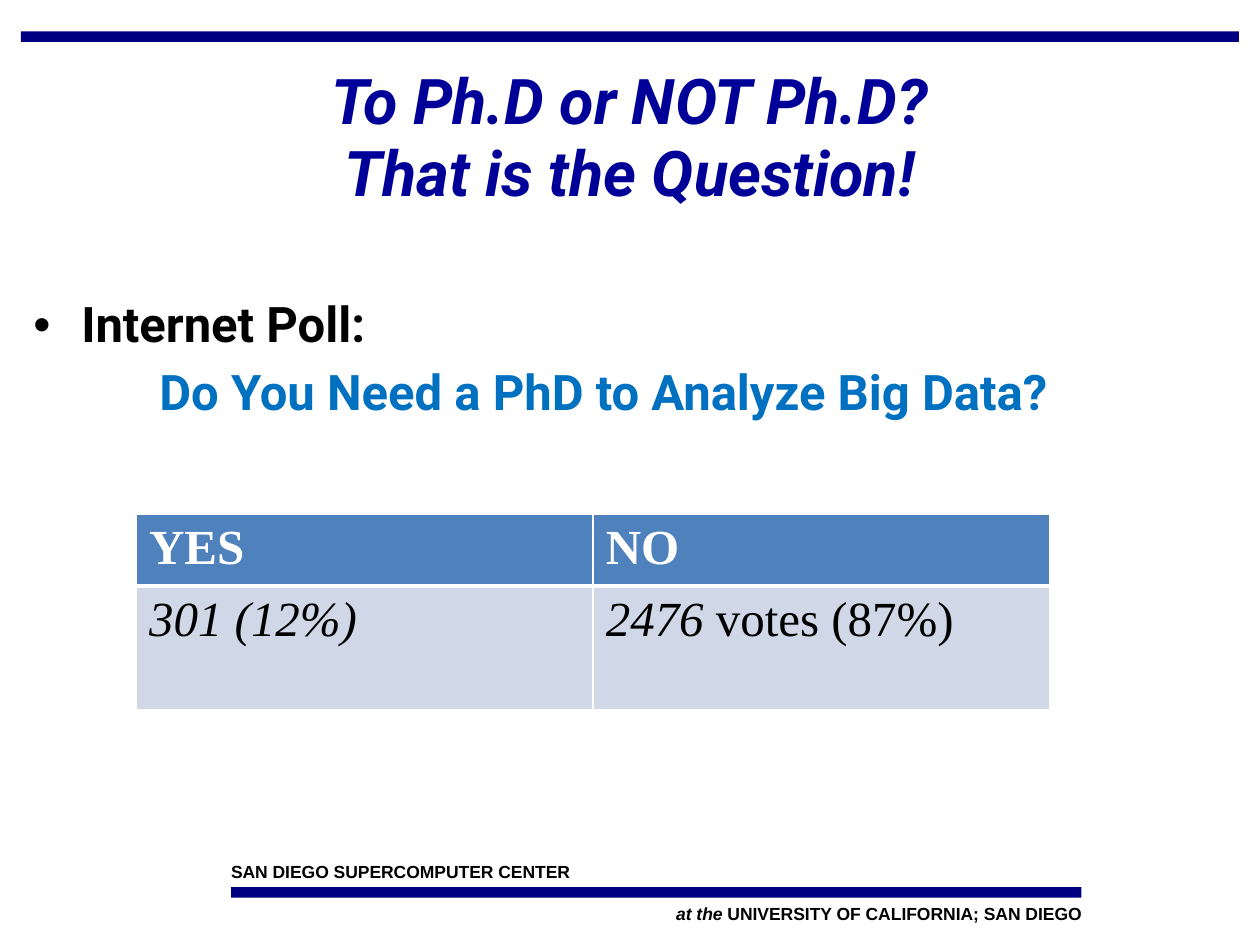
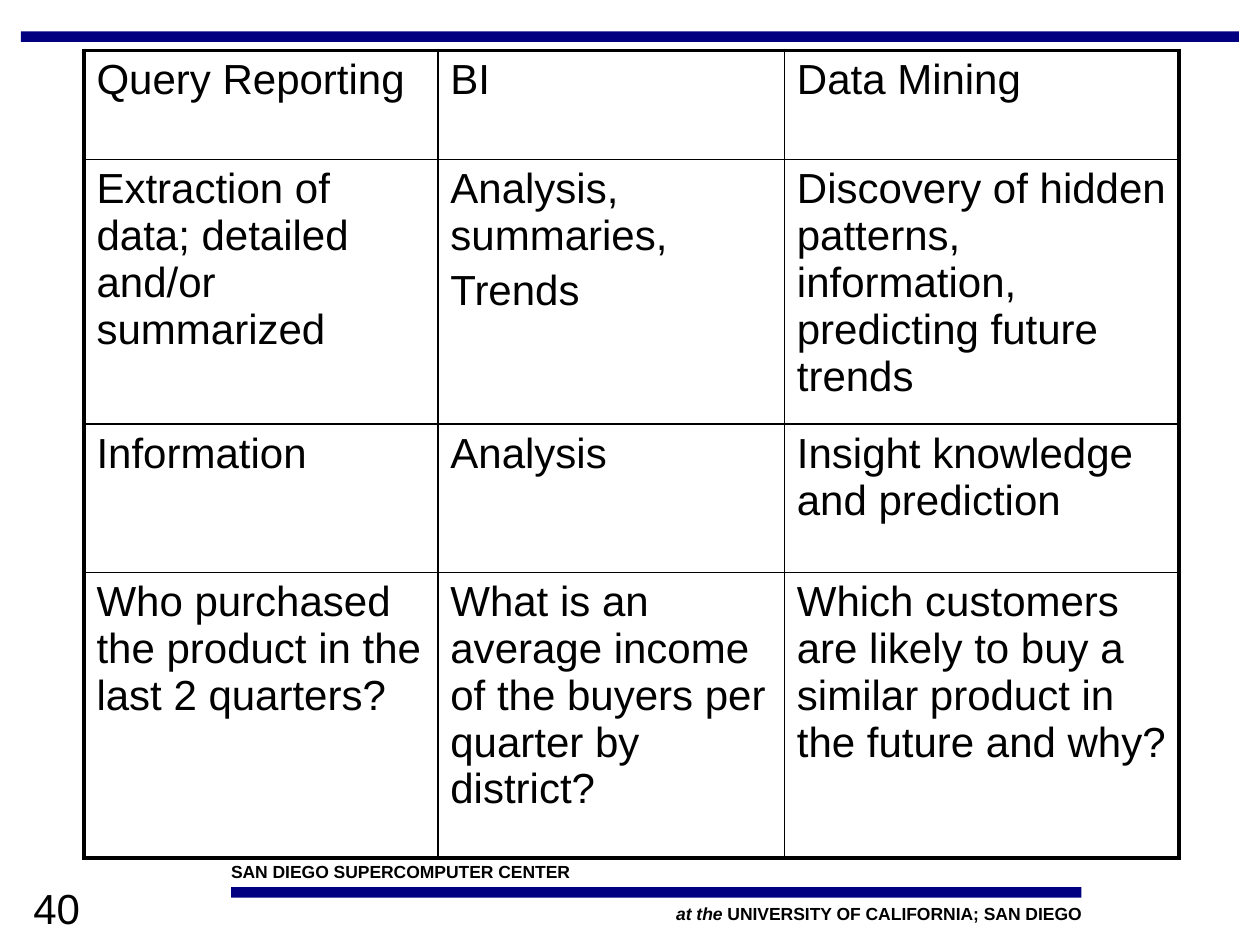
from collections import namedtuple

from lxml import etree
from pptx import Presentation
from pptx.dml.color import RGBColor
from pptx.enum.shapes import MSO_SHAPE
from pptx.enum.text import MSO_ANCHOR, PP_ALIGN
from pptx.oxml.ns import qn
from pptx.util import Emu, Inches, Pt

RECTANGLE = MSO_SHAPE.RECTANGLE
LEFT, CENTER, RIGHT = PP_ALIGN.LEFT, PP_ALIGN.CENTER, PP_ALIGN.RIGHT
MIDDLE = MSO_ANCHOR.MIDDLE

# The slide is a grid of 60 columns by 45 rows
COLUMNS, ROWS = 60, 45
SLIDE_WIDTH, SLIDE_HEIGHT = Inches(10), Inches(7.5)
UNIT = SLIDE_WIDTH / COLUMNS
Box = namedtuple("Box", "left top width height")

NAVY, TITLE_BLUE, QUESTION_BLUE = "000080", "000099", "0070C0"
HEADER_BLUE, PALE_BLUE = "4F81BD", "D0D8E8"
BLACK, WHITE = "000000", "FFFFFF"
SANS, HEADING, SERIF = "Arial", "Roboto", "Times New Roman"

# Shared regions
TOP_BAND = Box(1, 1.5, 58, 0.5)
FOOTER = Box(11, 41, 40.5, 3)
TITLE = Box(1, 3.2, 58, 6.84)
BODY = Box(1, 13.9, 58, 8)
POLL_TABLE = Box(6.5, 24.5, 43.5, 9.05)
COMPARISON_TABLE = Box(4, 2.4, 52.15, 38.45)
PAGE_NUMBER = Box(1, 41.75, 12.5, 3)

POLL = [
    [[("YES", False)], [("NO", False)]],
    [[("301 (12%)", True)], [("2476", True), (" votes (87%)", False)]],
]
COMPARISON = [
    ["Query Reporting", "BI", "Data Mining"],
    ["Extraction of data; detailed and/or summarized",
     "Analysis, summaries,\nTrends",
     "Discovery of hidden patterns, information, predicting future trends"],
    ["Information", "Analysis", "Insight knowledge and prediction"],
    ["Who purchased the product in the last 2 quarters?",
     "What is an average income of the buyers per quarter by district?",
     "Which customers are likely to buy a similar product in the future and why?"],
]


def color(value):
    return RGBColor.from_string(value)


def place(box):
    """Turn grid cells into slide lengths."""
    return [Emu(round(length * UNIT)) for length in box]


def set_font(font, name, size, value, bold=False):
    font.name, font.size, font.bold = name, Pt(size), bold
    font.color.rgb = color(value)


def add_runs(paragraph, runs):
    for text, italic in runs:
        run = paragraph.add_run()
        run.text = text
        run.font.italic = italic


def add_text_frame(slide, box, inset=True):
    frame = slide.shapes.add_textbox(*place(box)).text_frame
    frame.word_wrap = True
    if not inset:
        frame.margin_left = frame.margin_right = 0
        frame.margin_top = frame.margin_bottom = 0
    return frame


def add_band(slide, box):
    band = slide.shapes.add_shape(RECTANGLE, *place(box))
    band.shadow.inherit = False
    band.fill.solid()
    band.fill.fore_color.rgb = color(NAVY)
    band.line.fill.background()


def add_footer(slide, box):
    """Two credit lines, one above and one below a band."""
    add_band(slide, Box(box.left, box.top + 1.25, box.width, 0.5))
    lines = [
        (0, LEFT, [("SAN DIEGO SUPERCOMPUTER CENTER", False)]),
        (2, RIGHT, [("at the", True), (" UNIVERSITY OF CALIFORNIA; SAN DIEGO", False)]),
    ]
    for row, alignment, runs in lines:
        line_box = Box(box.left, box.top + row, box.width, 1)
        paragraph = add_text_frame(slide, line_box, inset=False).paragraphs[0]
        paragraph.alignment = alignment
        add_runs(paragraph, runs)
        set_font(paragraph.font, SANS, 10, BLACK, bold=True)


def add_slide(presentation, layout_name):
    """A slide with the shared bands and footer."""
    layout = presentation.slide_layouts.get_by_name(layout_name)
    slide = presentation.slides.add_slide(layout)
    add_band(slide, TOP_BAND)
    add_footer(slide, FOOTER)
    return slide


def format_title(slide, box, text):
    title = slide.shapes.title
    title.left, title.top, title.width, title.height = place(box)
    frame = title.text_frame
    frame.text = text
    frame.vertical_anchor = MIDDLE
    paragraph = frame.paragraphs[0]
    paragraph.alignment = CENTER
    paragraph.line_spacing = 0.95
    set_font(paragraph.font, HEADING, 36, TITLE_BLUE, bold=True)
    paragraph.font.italic = True


def add_question(slide, box):
    """A bulleted heading with the poll's question indented below."""
    frame = add_text_frame(slide, box)
    heading, question = frame.paragraphs[0], frame.add_paragraph()
    heading.text = "Internet Poll:"
    question.text = "Do You Need a PhD to Analyze Big Data?"

    properties = heading._p.get_or_add_pPr()
    properties.set("marL", str(Inches(0.38)))
    properties.set("indent", str(-Inches(0.38)))
    etree.SubElement(properties, qn("a:buFont")).set("typeface", SANS)
    etree.SubElement(properties, qn("a:buChar")).set("char", "•")
    question._p.get_or_add_pPr().set("marL", str(Inches(1)))
    question.space_before = Pt(6.5)
    for paragraph, value in ((heading, BLACK), (question, QUESTION_BLUE)):
        paragraph.line_spacing = 0.95
        set_font(paragraph.font, HEADING, 28, value, bold=True)


def add_table(slide, box, column_shares, row_shares):
    """An unstyled table whose columns and rows divide the box by shares."""
    left, top, width, height = place(box)
    table = slide.shapes.add_table(
        len(row_shares), len(column_shares), left, top, width, height).table
    table.first_row = table.horz_banding = False
    for column, share in zip(table.columns, column_shares):
        column.width = Emu(round(width * share / sum(column_shares)))
    for row, share in zip(table.rows, row_shares):
        row.height = Emu(round(height * share / sum(row_shares)))
    return table


def rule_table(table, value, vertical, horizontal):
    """Draw the grid lines, given the point width of each from left and top."""
    for i, row in enumerate(table.rows):
        for j, cell in enumerate(row.cells):
            properties = cell._tc.get_or_add_tcPr()
            sides = {"a:lnL": vertical[j], "a:lnR": vertical[j + 1],
                     "a:lnT": horizontal[i], "a:lnB": horizontal[i + 1]}
            for position, (tag, width) in enumerate(sides.items()):
                line = etree.Element(qn(tag), w=str(Pt(width)))
                fill = etree.SubElement(line, qn("a:solidFill"))
                etree.SubElement(fill, qn("a:srgbClr")).set("val", value)
                properties.insert(position, line)


def add_poll_table(slide, box):
    table = add_table(slide, box, [1, 1], [3.15, 5.9])
    styles = [(HEADER_BLUE, WHITE, True), (PALE_BLUE, BLACK, False)]
    for row, contents, (fill, value, bold) in zip(table.rows, POLL, styles):
        for cell, runs in zip(row.cells, contents):
            cell.fill.solid()
            cell.fill.fore_color.rgb = color(fill)
            paragraph = cell.text_frame.paragraphs[0]
            add_runs(paragraph, runs)
            set_font(paragraph.font, SERIF, 28, value, bold)
    rule_table(table, WHITE, [1, 1, 1], [1, 3, 1])


def add_comparison_table(slide, box):
    table = add_table(slide, box, [16.85, 16.5, 18.8], [5.2, 12.6, 7.05, 13.6])
    for row, texts in zip(table.rows, COMPARISON):
        for cell, text in zip(row.cells, texts):
            cell.fill.background()
            cell.text_frame.text = text
            for index, paragraph in enumerate(cell.text_frame.paragraphs):
                set_font(paragraph.font, SANS, 24, BLACK)
                if index:
                    paragraph.space_before = Pt(4.8)
    rule_table(table, BLACK, [2.25, 1, 1, 2.25], [2.25, 1, 1, 1, 2.25])


def add_page_number(slide, box, number):
    paragraph = add_text_frame(slide, box).paragraphs[0]
    paragraph.text = number
    set_font(paragraph.font, SANS, 24, BLACK)


def build_poll_slide(presentation):
    slide = add_slide(presentation, "Title Only")
    format_title(slide, TITLE, "To Ph.D or NOT Ph.D?\vThat is the Question!")
    add_question(slide, BODY)
    add_poll_table(slide, POLL_TABLE)


def build_comparison_slide(presentation):
    slide = add_slide(presentation, "Blank")
    add_page_number(slide, PAGE_NUMBER, "40")
    add_comparison_table(slide, COMPARISON_TABLE)


def main():
    presentation = Presentation()
    presentation.slide_width, presentation.slide_height = SLIDE_WIDTH, SLIDE_HEIGHT
    build_poll_slide(presentation)
    build_comparison_slide(presentation)
    presentation.save("out.pptx")


if __name__ == "__main__":
    main()
